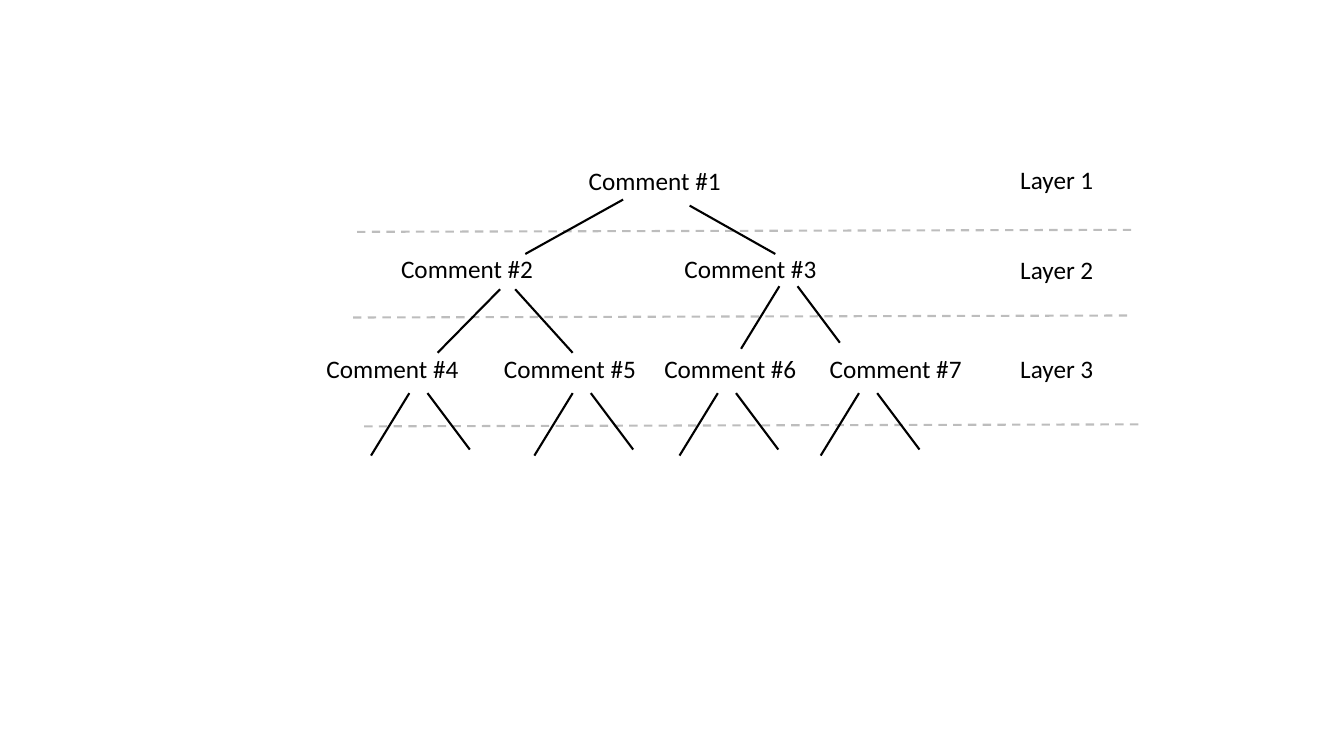
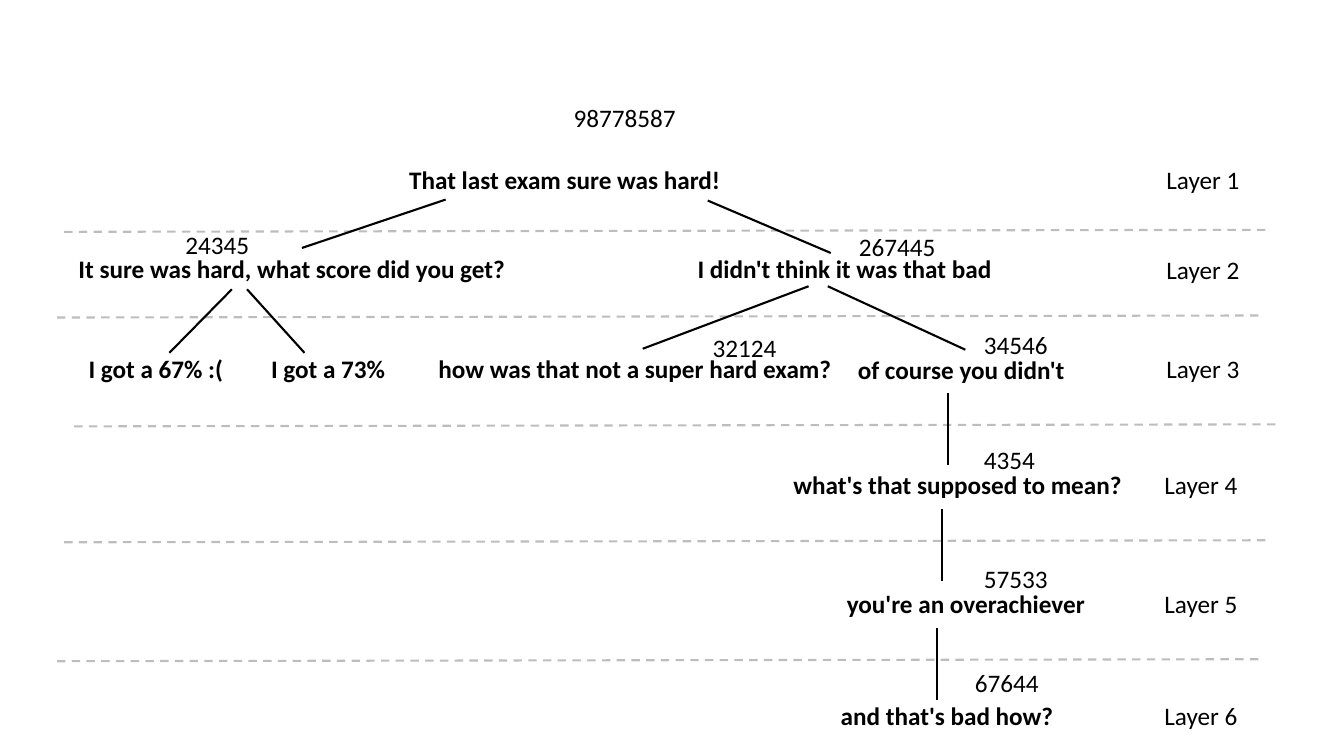
from lxml.etree import SubElement as Sub
from pptx import Presentation
from pptx.dml.color import RGBColor as RGB
from pptx.enum.dml import MSO_LINE_DASH_STYLE as Dash
from pptx.enum.shapes import MSO_CONNECTOR as Link
from pptx.enum.text import MSO_AUTO_SIZE as Auto
from pptx.oxml.ns import qn
from pptx.util import Pt

SCALE = 9144
INK = {"text": "000000", "line": "000000", "back": "FFFFFF"}


def px(num):
    """Turn px, a hundred to the inch, into EMU."""
    return num * SCALE


def write(frame, text, size=18, bold=False, ink="text", font="Calibri"):
    """Put formatted text in a frame."""
    run = frame.paragraphs[0].add_run()
    run.text = text
    run.font.name, run.font.size, run.font.bold = font, Pt(size), bold
    run.font.color.rgb = RGB.from_string(INK[ink])


class Deck:
    """Hold the style and the current slide."""

    def __init__(self, wide, high):
        """Start an empty deck."""
        self.prs = Presentation()
        self.prs.slide_width, self.prs.slide_height = px(wide), px(high)

    def page(self):
        """Add a blank slide."""
        self.slide = self.prs.slides.add_slide(self.prs.slide_layouts[6])
        fill = self.slide.background.fill
        fill.solid()
        fill.fore_color.rgb = RGB.from_string(INK["back"])

    def label(self, text, left, top, wide, **style):
        """Add a one-line text box."""
        box = self.slide.shapes.add_textbox(px(left), px(top), px(wide), px(40))
        box.text_frame.word_wrap = True
        box.text_frame.auto_size = Auto.SHAPE_TO_FIT_TEXT
        write(box.text_frame, text, **style)
        return box

    def line(self, x1, y1, x2, y2, into=None, home=None):
        """Draw a solid line, joined to the top of a box if one is given."""
        shapes = (home or self.slide).shapes
        link = shapes.add_connector(Link.STRAIGHT, px(x1), px(y1), px(x2), px(y2))
        link.line.color.rgb = RGB.from_string(INK["line"])
        link.line.width = Pt(1.5)
        Sub(link._element.spPr, qn("a:effectLst"))
        if into is not None:
            link.end_connect(into, 0)
        return link

    def fork(self, x, y):
        """Draw the two branches below a comment."""
        self.line(x, y, x - 38, y + 62)
        self.line(x + 18, y, x + 60, y + 56)

    def rule(self, left, top, wide, home=None):
        """Draw a faint dashed line between layers."""
        link = self.line(left + wide, top, left, top + 2, home=home)
        link.line.dash_style = Dash.DASH
        tint = link._element.spPr.find(".//" + qn("a:srgbClr"))
        Sub(tint, qn("a:alpha"), val="25000")

    def layers(self, spots):
        """Number the layers from the top down."""
        for num, (left, top) in enumerate(spots, 1):
            self.label(f"Layer {num}", left, top, 138)


def tree(deck):
    """Build the numbered comment tree."""
    deck.page()
    spots = [(574, 159, 168), (388, 246, 174), (669, 246, 174), (314, 346, 157),
             (490, 346, 154), (649, 346, 162), (813, 346, 155)]
    for num, spot in enumerate(spots, 1):
        deck.label(f"Comment #{num}", *spot)
    for ends in [(618, 198, 521, 252), (684, 204, 769, 252),
                 (496, 287, 434, 350), (511, 287, 568, 350)]:
        deck.line(*ends)
    for x, y in [(773, 284), (406, 390), (568, 390), (712, 390), (852, 390)]:
        deck.fork(x, y)
    deck.layers([(1002, 158), (1002, 247), (1002, 346)])
    for left, top in [(348, 228), (344, 313), (355, 421)]:
        deck.rule(left, top, 774)


def thread(deck):
    """Build the sample thread with its scores."""
    deck.page()
    says = [("That last exam sure was hard!", 396, 158, 371),
            ("It sure was hard, what score did you get?", 68, 246, 463),
            ("I didn't think it was that bad", 682, 246, 316),
            ("I got a 67% :(", 78, 346, 157),
            ("I got a 73%", 259, 346, 143),
            ("how was that not a super hard exam?", 425, 346, 425),
            ("of course you didn't", 841, 347, 233),
            ("what's that supposed to mean?", 777, 461, 369),
            ("you're an overachiever", 830, 579, 288),
            ("and that's bad how?", 824, 690, 233)]
    root, score, bad, low, high, how, *rest = [
        deck.label(*say, bold=True) for say in says]
    for ends, into in [((442, 198, 300, 246), score), ((702, 199, 824, 251), None),
                       ((230, 287, 168, 350), None), ((245, 287, 302, 350), None),
                       ((802, 284, 637, 346), how), ((821, 284, 957, 347), rest[0])]:
        deck.line(*ends, into=into)
    for x, y in [(940, 390), (934, 505), (929, 623)]:
        deck.line(x, y, x, y + 71)
    group = deck.slide.shapes.add_group_shape()
    for left, top in [(58, 228), (51, 313), (68, 421), (58, 536), (51, 654)]:
        deck.rule(left, top, 1197, home=group)
    deck.layers([(1147, 158), (1147, 247), (1147, 346),
                 (1145, 461), (1145, 579), (1145, 690)])
    for text, left, top in [("98778587", 559, 97), ("24345", 174, 223),
                            ("267445", 842, 225), ("32124", 697, 325),
                            ("34546", 966, 322), ("4354", 966, 436),
                            ("57533", 966, 554), ("67644", 957, 657)]:
        deck.label(text, left, top, 143)


def main():
    """Build and save both slides."""
    deck = Deck(1333, 750)
    tree(deck)
    thread(deck)
    deck.prs.save("out.pptx")


if __name__ == "__main__":
    main()
